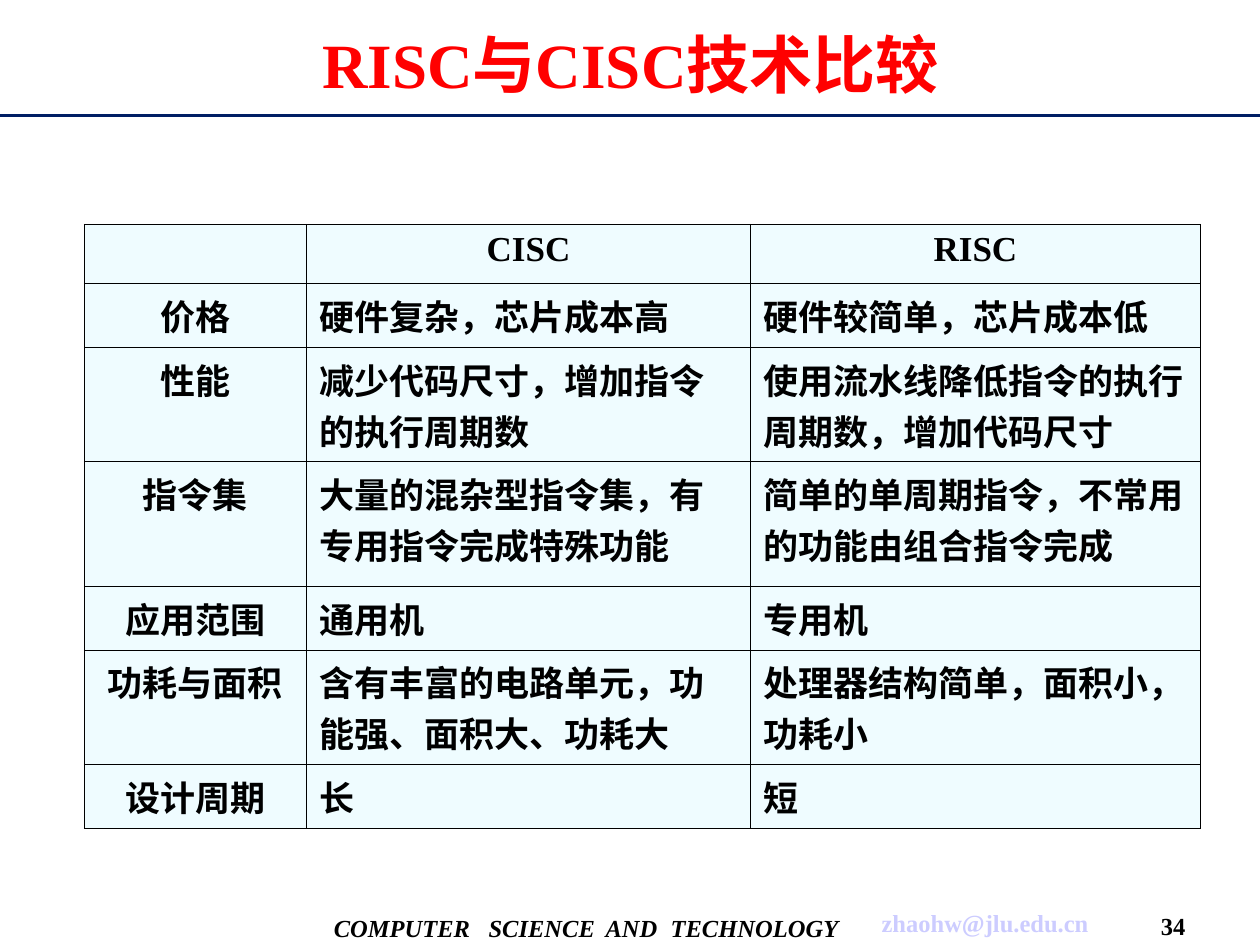
from lxml import etree
from pptx import Presentation
from pptx import util as u
from pptx.dml.color import RGBColor
from pptx.enum import shapes, text
from pptx.oxml import ns

COLORS = {"title": "FF0000", "rule": "001E64", "text": "000000",
          "mail": "CCCCFF", "cell": "EFFCFF", "border": "000000"}
LATIN, CJK = "Times New Roman", "Noto Sans CJK SC"
CENTER, LEFT = text.PP_ALIGN.CENTER, text.PP_ALIGN.LEFT

TITLE = "RISC与CISC技术比较"
ROWS = [
    ("", "CISC", "RISC"),
    ("价格", "硬件复杂，芯片成本高", "硬件较简单，芯片成本低"),
    ("性能", "减少代码尺寸，增加指令的执行周期数",
     "使用流水线降低指令的执行周期数，增加代码尺寸"),
    ("指令集", "大量的混杂型指令集，有专用指令完成特殊功能",
     "简单的单周期指令，不常用的功能由组合指令完成"),
    ("应用范围", "通用机", "专用机"),
    ("功耗与面积", "含有丰富的电路单元，功能强、面积大、功耗大",
     "处理器结构简单，面积小，功耗小"),
    ("设计周期", "长", "短"),
]
COL_WIDTHS = [4.48, 8.95, 9.07]
ROW_HEIGHTS = [1.19, 1.29, 2.3, 2.52, 1.26, 2.3, 1.29]
# Footer parts: text, (left, top, width, height) in cm, format
FOOTER = [
    ("COMPUTER\tSCIENCE\tAND\tTECHNOLOGY", (6.48, 18.16, 11, 1.07),
     dict(italic=True, align=LEFT, tabs=(3.12, 5.48, 6.79))),
    ("zhaohw@jlu.edu.cn", (17.36, 18.14, 5, 0.91), dict(color="mail")),
    ("34", (23.09, 18.26, 1.12, 0.79), {}),
]


def sub(parent, tag, **attrs):
    return etree.SubElement(parent, ns.qn(tag), attrs)


def write(tf, content, size=14, color="text", italic=False, align=CENTER, tabs=()):
    p = tf.paragraphs[0]
    p.alignment = align
    if tabs:
        tab_list = sub(p._p.get_or_add_pPr(), "a:tabLst")
        for pos in tabs:
            sub(tab_list, "a:tab", pos=str(int(u.Cm(pos))), algn="l")
    r = p.add_run()
    r.text = content
    f = r.font
    f.size, f.bold, f.italic, f.name = u.Pt(size), True, italic, LATIN
    f.color.rgb = RGBColor.from_string(COLORS[color])
    sub(r._r.get_or_add_rPr(), "a:ea", typeface=CJK)


def add_borders(cell, width=0.45):
    tc_pr = cell._tc.get_or_add_tcPr()
    for side in ("a:lnL", "a:lnR", "a:lnT", "a:lnB"):
        line = sub(tc_pr, side, w=str(int(u.Pt(width))))
        sub(sub(line, "a:solidFill"), "a:srgbClr", val=COLORS["border"])


prs = Presentation()
prs.slide_width, prs.slide_height = u.Cm(25.4), u.Cm(19.05)
s = prs.slides.add_slide(prs.slide_layouts[5])

# Title and the rule under it
title = s.shapes.title
title.left, title.top, title.width, title.height = map(u.Cm, (0.81, 0.22, 23.8, 2.11))
title.text_frame.vertical_anchor = text.MSO_ANCHOR.MIDDLE
write(title.text_frame, TITLE, size=36, color="title")
rule = s.shapes.add_connector(shapes.MSO_CONNECTOR.STRAIGHT,
                              0, u.Cm(2.32), prs.slide_width, u.Cm(2.32))
rule.line.color.rgb = RGBColor.from_string(COLORS["rule"])
rule.line.width = u.Pt(1.75)
sub(rule._element.spPr, "a:effectLst")

# Comparison table
table = s.shapes.add_table(len(ROWS), len(COL_WIDTHS), u.Cm(1.7), u.Cm(4.52),
                           u.Cm(sum(COL_WIDTHS)), u.Cm(sum(ROW_HEIGHTS))).table
table.first_row = table.horz_banding = False
for column, width in zip(table.columns, COL_WIDTHS):
    column.width = u.Cm(width)
for i, (row, height) in enumerate(zip(ROWS, ROW_HEIGHTS)):
    table.rows[i].height = u.Cm(height)
    for j, content in enumerate(row):
        cell = table.cell(i, j)
        add_borders(cell)
        cell.fill.solid()
        cell.fill.fore_color.rgb = RGBColor.from_string(COLORS["cell"])
        if content:
            write(cell.text_frame, content, size=20,
                  align=CENTER if i == 0 or j == 0 else LEFT)

# Footer
for content, box, fmt in FOOTER:
    tf = s.shapes.add_textbox(*map(u.Cm, box)).text_frame
    tf.word_wrap = True
    tf.vertical_anchor = text.MSO_ANCHOR.MIDDLE
    write(tf, content, **fmt)

prs.save("out.pptx")
